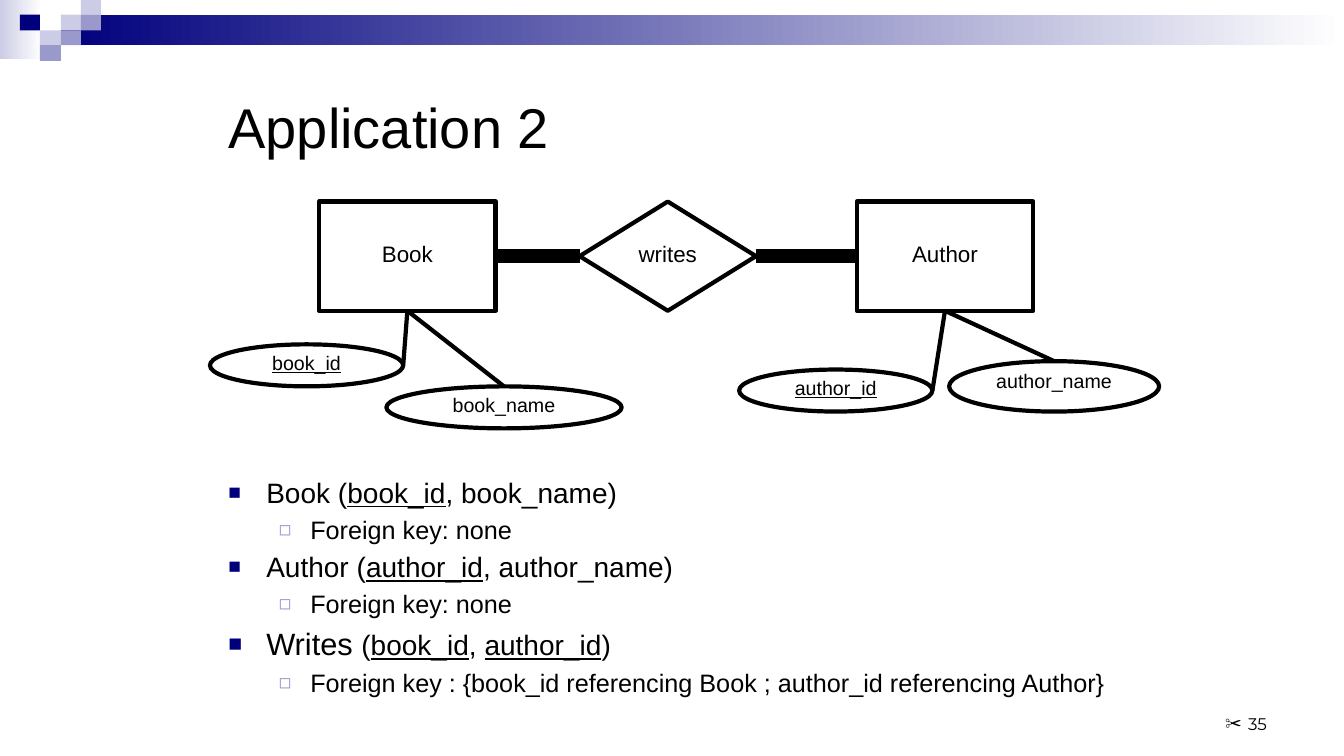
from lxml import etree
from pptx import Presentation, util as u
from pptx.dml.color import RGBColor
from pptx.enum import shapes, text
from pptx.oxml.ns import qn

PX = 9525
BLACK, NAVY, VIOLET, LILAC = "000000", "00007D", "9999CC", "CCCCE6"


def add_run(p, words, size, underline=False, font="Arial"):
    r = p.add_run()
    r.text = words
    r.font.size = u.Pt(size)
    r.font.name = font
    r.font.underline = underline
    r.font.color.rgb = RGBColor.from_string(BLACK)


def add_bullet(p, char, color, percent, left, hang):
    pPr = p._p.get_or_add_pPr()
    pPr.set("marL", str(left * PX))
    pPr.set("indent", str(-hang * PX))
    clr = etree.SubElement(pPr, qn("a:buClr"))
    etree.SubElement(clr, qn("a:srgbClr"), val=color)
    etree.SubElement(pPr, qn("a:buSzPct"), val=str(percent * 1000))
    etree.SubElement(pPr, qn("a:buFont"), typeface="Arial")
    etree.SubElement(pPr, qn("a:buChar"), char=char)


prs = Presentation()
prs.slide_width, prs.slide_height = 1280 * PX, 720 * PX
s = prs.slides.add_slide(prs.slide_layouts[1])

for x, y, w, h, color in [(0, 0, 40, 56, LILAC), (58, 14, 1222, 29, NAVY)]:
    sp = s.shapes.add_shape(shapes.MSO_SHAPE.RECTANGLE, x * PX, y * PX, w * PX, h * PX)
    sp.shadow.inherit = False
    sp.line.fill.background()
    sp.fill.gradient()
    sp.fill.gradient_angle = 0
    for stop, stop_color, position in zip(sp.fill.gradient_stops, (color, "FFFFFF"), (0, 1)):
        stop.color.rgb = RGBColor.from_string(stop_color)
        stop.position = position

for col, row, color in [(3, 1, LILAC), (4, 0, LILAC), (4, 1, VIOLET), (2, 2, LILAC),
                        (1, 1, NAVY), (3, 2, VIOLET), (2, 3, VIOLET)]:
    x, y = round(col * 19.2), round(row * 14.4)
    w, h = round((col + 1) * 19.2) - x, round((row + 1) * 14.4) - y
    sp = s.shapes.add_shape(shapes.MSO_SHAPE.RECTANGLE, x * PX, y * PX, w * PX, h * PX)
    sp.shadow.inherit = False
    sp.line.fill.background()
    sp.fill.solid()
    sp.fill.fore_color.rgb = RGBColor.from_string(color)

title = s.shapes.title
title.left, title.top, title.width, title.height = 208 * PX, 48 * PX, 864 * PX, 144 * PX
title.text_frame.vertical_anchor = text.MSO_ANCHOR.MIDDLE
p = title.text_frame.paragraphs[0]
p.alignment = text.PP_ALIGN.LEFT
add_run(p, "Application 2", 40)

body = s.placeholders[1]
body.left, body.top, body.width, body.height = 208 * PX, 448 * PX, 864 * PX, 200 * PX
tf = body.text_frame
tf.auto_size = text.MSO_AUTO_SIZE.NONE
items = [
    (0, [("Book (", 20, False), ("book_id", 20, True), (", book_name)", 20, False)]),
    (1, [("Foreign key: none", 18, False)]),
    (0, [("Author (", 20, False), ("author_id", 20, True), (", author_name)", 20, False)]),
    (1, [("Foreign key: none", 18, False)]),
    (0, [("Writes ", 22, False), ("(", 20, False), ("book_id", 20, True), (", ", 20, False),
         ("author_id", 20, True), (")", 20, False)]),
    (1, [("Foreign key : {book_id referencing Book ; author_id referencing Author}", 18, False)]),
]
bullets = [("■", NAVY, 75, 36, 36), ("◻", VIOLET, 80, 78, 30)]
for i, (level, runs) in enumerate(items):
    p = tf.add_paragraph() if i else tf.paragraphs[0]
    p.level = level
    add_bullet(p, *bullets[level])
    if i == 0:
        p.space_before = u.Pt(0)
    for words, size, underline in runs:
        add_run(p, words, size, underline)

RECT, DIAMOND, OVAL = shapes.MSO_SHAPE.RECTANGLE, shapes.MSO_SHAPE.DIAMOND, shapes.MSO_SHAPE.OVAL
nodes = {}
for name, kind, x, y, w, h in [
    ("Book", RECT, 304, 192, 168, 104),
    ("writes", DIAMOND, 552, 192, 168, 104),
    ("Author", RECT, 816, 192, 168, 104),
    ("book_id", OVAL, 200, 328, 184, 40),
    ("book_name", OVAL, 368, 368, 224, 40),
    ("author_id", OVAL, 704, 352, 184, 40),
    ("author_name", OVAL, 904, 344, 200, 48),
]:
    sp = s.shapes.add_shape(kind, x * PX, y * PX, w * PX, h * PX)
    sp.shadow.inherit = False
    sp.fill.background()
    sp.line.color.rgb = RGBColor.from_string(BLACK)
    sp.line.width = u.Pt(3)
    oval = kind == OVAL
    tf = sp.text_frame
    tf.word_wrap = oval
    tf.vertical_anchor = text.MSO_ANCHOR.TOP if oval else text.MSO_ANCHOR.MIDDLE
    p = tf.paragraphs[0]
    p.alignment = text.PP_ALIGN.CENTER
    p.line_spacing = 0.8
    add_run(p, name, 14 if oval else 16, name.endswith("_id"))
    nodes[name] = sp

for start, start_side, end, end_side, width in [
    ("writes", 3, "Author", 1, 10),
    ("Book", 3, "writes", 1, 10),
    ("Book", 2, "book_name", 0, 3),
    ("Book", 2, "book_id", None, 3),
    ("Author", 2, "author_name", 0, 3),
    ("Author", 2, "author_id", None, 3),
]:
    target = nodes[end]
    line = s.shapes.add_connector(shapes.MSO_CONNECTOR.STRAIGHT, 0, 0,
                                  target.left + target.width, target.top + target.height // 2)
    line.begin_connect(nodes[start], start_side)
    if end_side is not None:
        line.end_connect(target, end_side)
    line.line.color.rgb = RGBColor.from_string(BLACK)
    line.line.width = u.Pt(width)
    etree.SubElement(line._element.spPr, qn("a:effectLst"))

number = s.shapes.add_textbox(918 * PX, 656 * PX, 298 * PX, 48 * PX)
tf = number.text_frame
tf.word_wrap = True
tf.vertical_anchor = text.MSO_ANCHOR.BOTTOM
p = tf.paragraphs[0]
p.alignment = text.PP_ALIGN.RIGHT
add_bullet(p, "✂", BLACK, 100, 22, 22)
add_run(p, "35", 12, font="Montserrat")

prs.save("out.pptx")
